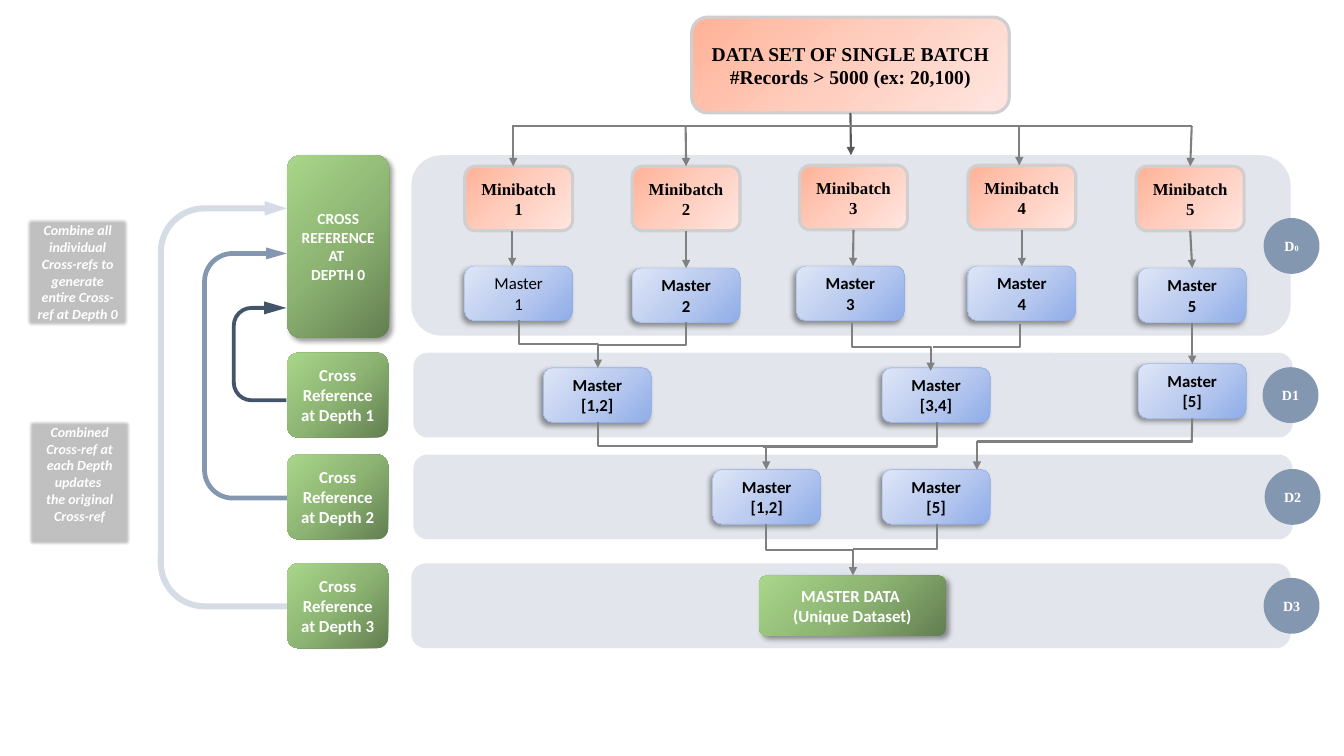
import lxml.etree
import pptx
import pptx.dml.color
import pptx.enum.dml
import pptx.enum.shapes
import pptx.enum.text
import pptx.oxml.ns
import pptx.util
from copy import deepcopy

Inches = pptx.util.Inches
SHAPE = pptx.enum.shapes.MSO_SHAPE
CONNECTOR = pptx.enum.shapes.MSO_CONNECTOR

COLORS = {"band": "D6DCE5", "badge": "8497B0", "navy": "44546A", "line": "808080",
          "stem": "595959", "black": "000000", "white": "FFFFFF",
          "batch_edge": "D0CECE", "master_edge": "8FAADC"}
SERIF, SANS = "Times New Roman", "Calibri"

# Looks: gradient stops, angle, edge, shadow direction, corner, font
BATCH = dict(stops=("FFB297", "FFCEBF", "FFE6E0"), angle=45, edge=("batch_edge", 2.25),
             font=SERIF, ink="black")
MASTER = dict(stops=("8FADE9", "BCCCEF", "DEE6F7"), angle=225, edge=("master_edge", 0.25),
              shadow=135, font=SANS, ink="black")
GREEN = dict(stops=("637F51", "8DB473", "A8D689"), angle=225, corner=0.128,
             font=SANS, ink="white")
GREEN_RAISED = dict(GREEN, shadow=45)

# Content: one depth per row: band x, y, height; badge x, y, text
DEPTHS = [
    ((4.08, 1.54, 1.79), (12.54, 2.17), "D0"),
    ((4.10, 3.50, 0.84), (12.53, 3.65), "D1"),
    ((4.10, 4.51, 0.84), (12.55, 4.66), "D2"),
    ((4.08, 5.59, 0.84), (12.54, 5.74), "D3"),
]
DATA_SET = ["DATA SET OF SINGLE BATCH", "#Records > 5000 (ex: 20,100)"]
# minibatch x, y; master x, y; x of arrow into the minibatch, x of arrow into the master
COLUMNS = [
    (4.61, 1.65, 4.61, 2.64, 5.09, 5.08),
    (6.27, 1.65, 6.27, 2.66, 6.80, 6.80),
    (7.93, 1.64, 7.90, 2.64, None, 8.46),
    (9.60, 1.64, 9.60, 2.64, 10.11, 10.15),
    (11.27, 1.65, 11.29, 2.66, 11.82, 11.82),
]
MERGED = [("[1,2]", 5.39, 3.65), ("[3,4]", 8.75, 3.65), ("[5]", 11.29, 3.61),
          ("[1,2]", 7.07, 4.66), ("[5]", 8.75, 4.66)]
CROSS_REFERENCE = ["CROSS REFERENCE", "AT ", "DEPTH 0"]
MASTER_DATA = ["MASTER DATA ", "(Unique Dataset)"]
NOTES = [
    ((0.24, 2.15, 1.06, 1.11),
     ["Combine all individual Cross-refs to generate entire Cross-ref at Depth 0"]),
    ((0.26, 4.15, 1.06, 1.28),
     ["Combined Cross-ref at each Depth updates ", "the original Cross-ref"]),
]
FEEDBACK = [
    ((0.18, 3.38, 4.05, 1.28), (0.047, 0.056, 0.172, 0.361, 1), "band"),
    ((1.17, 3.29, 2.51, 0.84), (0.056, 0.07, 0.243, 0.361, 1), "badge"),
    ((2.07, 3.22, 1.00, 0.54), (0.071, 0.119, 0.408, 0.361, 1), "navy"),
]
# Elbows run down from the start, then across; those with an arrow turn down again
ELBOWS = [
    (5.15, 3.18, 5.93, 3.65, True), (6.80, 3.19, 5.93, 3.42, False),
    (8.45, 3.20, 9.23, 3.68, True), (10.12, 3.21, 9.25, 3.44, False),
    (5.93, 4.19, 7.60, 4.66, True), (9.29, 4.19, 7.57, 4.43, False),
    (7.60, 5.20, 8.46, 5.71, True), (9.29, 5.20, 8.46, 5.45, False),
]

prs = pptx.Presentation()
prs.slide_width, prs.slide_height = Inches(13.33), Inches(7.5)
slide = prs.slides.add_slide(prs.slide_layouts[6])


def rgb(name):
    return pptx.dml.color.RGBColor.from_string(COLORS.get(name, name))


def child(parent, tag, **attributes):
    return lxml.etree.SubElement(parent, pptx.oxml.ns.qn(tag), attributes)


def add_shape(kind, at, fill=None, alpha=None):
    shape = slide.shapes.add_shape(kind, *map(Inches, at))
    shape.shadow.inherit = False
    shape.line.fill.background()
    if fill:
        shape.fill.solid()
        shape.fill.fore_color.rgb = rgb(fill)
    if alpha:
        child(shape._element.xpath(".//a:srgbClr")[0], "a:alpha", val=str(alpha * 1000))
    return shape


def write(shape, lines, size, font, ink, bold=True, italic=False):
    frame = shape.text_frame
    frame.word_wrap = True
    frame.vertical_anchor = pptx.enum.text.MSO_ANCHOR.MIDDLE
    for number, line in enumerate(lines):
        paragraph = frame.add_paragraph() if number else frame.paragraphs[0]
        paragraph.alignment = pptx.enum.text.PP_ALIGN.CENTER
        for text in line if isinstance(line, tuple) else (line,):
            run = paragraph.add_run()
            run.text = text
            run.font.name, run.font.size = font, pptx.util.Pt(size)
            run.font.bold, run.font.italic = bold, italic
            run.font.color.rgb = rgb(ink)


def card(at, lines, look, size=12, bold=True):
    shape = add_shape(SHAPE.ROUNDED_RECTANGLE, at)
    if "corner" in look:
        shape.adjustments[0] = look["corner"]
    shape.fill.gradient()
    shape.fill.gradient_angle = 360 - look["angle"]
    stop_list = shape._element.xpath(".//a:gsLst")[0]
    stop_list.insert(1, deepcopy(stop_list[0]))
    for number, stop in enumerate(shape.fill.gradient_stops):
        stop.position = number / 2
        stop.color.rgb = rgb(look["stops"][number])
    if "edge" in look:
        shape.line.color.rgb = rgb(look["edge"][0])
        shape.line.width = pptx.util.Pt(look["edge"][1])
    if "shadow" in look:
        effects = shape._element.xpath(".//a:effectLst")[0]
        shadow = child(effects, "a:outerShdw", blurRad="50800", dist="38100",
                       dir=str(look["shadow"] * 60000), rotWithShape="0")
        child(child(shadow, "a:srgbClr", val=COLORS["black"]), "a:alpha", val="40000")
    write(shape, lines, size, look["font"], look["ink"], bold)
    return shape


def dress(connector, color="line", arrow=True):
    connector.line.color.rgb = rgb(color)
    connector.line.width = pptx.util.Pt(1.5)
    if arrow:
        child(connector._element.xpath(".//a:ln")[0], "a:tailEnd", type="triangle")
    child(connector._element.spPr, "a:effectLst")


def straight(x1, y1, x2, y2, start=None, finish=None, **style):
    line = slide.shapes.add_connector(CONNECTOR.STRAIGHT, *map(Inches, (x1, y1, x2, y2)))

    def is_middle(box, x):
        return box and abs(box.left + box.width / 2 - Inches(x)) < Inches(0.02)
    if is_middle(start, x1):
        line.begin_connect(start, 2)
    if is_middle(finish, x2):
        line.end_connect(finish, 0)
    dress(line, **style)


def elbow(x1, y1, x2, y2, arrow):
    # Laid out on its side around the same centre, then turned upright
    middle_x, middle_y = (x1 + x2) / 2, (y1 + y2) / 2
    half_w, half_h = (y2 - y1) / 2, abs(x2 - x1) / 2
    side = 1 if x2 > x1 else -1
    line = slide.shapes.add_connector(CONNECTOR.ELBOW, *map(Inches, (
        middle_x + side * half_w, middle_y - half_h,
        middle_x - side * half_w, middle_y + half_h)))
    line._element.xpath(".//a:xfrm")[0].set("rot", str((270 if side > 0 else 90) * 60000))
    if not arrow:
        line._element.xpath(".//a:prstGeom")[0].set("prst", "bentConnector2")
    dress(line, arrow=arrow)


# Depth bands
bands = [add_shape(SHAPE.ROUNDED_RECTANGLE, (x, y, 8.72, height), "band", 70)
         for (x, y, height), _, _ in DEPTHS]

# Data set, minibatches and masters
data_set = card((6.86, 0.17, 3.15, 0.95), DATA_SET, BATCH, 14)
straight(8.44, 1.12, 8.44, 1.54, data_set, bands[0], color="stem")
straight(5.08, 1.25, 11.82, 1.25, arrow=False)
for number, (batch_x, batch_y, master_x, master_y, drop_x, arrow_x) in enumerate(COLUMNS, 1):
    minibatch = card((batch_x, batch_y, 1.07, 0.64), ["Minibatch", str(number)], BATCH)
    master = card((master_x, master_y, 1.07, 0.54), ["Master", str(number)], MASTER,
                  bold=number > 1)
    if drop_x:
        straight(drop_x, 1.25, drop_x, batch_y, finish=minibatch)
    straight(arrow_x, batch_y + 0.64, arrow_x, master_y, minibatch, master)
merged = [card((x, y, 1.07, 0.54), ["Master", members], MASTER) for members, x, y in MERGED]
card((7.53, 5.71, 1.85, 0.6), MASTER_DATA, GREEN_RAISED)

# Cross references
card((2.85, 1.54, 1.01, 1.81), CROSS_REFERENCE, GREEN_RAISED, 11)
for depth, ((_, y, height), _, _) in enumerate(DEPTHS[1:], 1):
    card((2.85, y, 1, height), ["Cross Reference", f"at Depth {depth}"], GREEN)

# Feedback arrows
for at, bends, color in FEEDBACK:
    feedback = add_shape(SHAPE.U_TURN_ARROW, at, color)
    feedback.rotation = 270
    for number, bend in enumerate(bends):
        feedback.adjustments[number] = bend

# Depth badges
for _, (x, y), label in DEPTHS:
    badge = add_shape(SHAPE.OVAL, (x, y, 0.54, 0.54), "badge")
    badge.line.color.rgb = rgb("badge")
    badge.line.width = pptx.util.Pt(1)
    write(badge, [tuple(label) if label == "D0" else label], 10, SERIF, "white")
    badge.text_frame.word_wrap = False
    if label == "D0":
        badge.text_frame.paragraphs[0].runs[1].font._element.set("baseline", "-2000")

# Merging lines
for bend in ELBOWS:
    elbow(*bend)
straight(11.82, 3.19, 11.82, 3.61, master, merged[2])
straight(11.82, 4.15, 11.82, 4.39, merged[2], arrow=False)
straight(9.69, 4.38, 11.82, 4.38, arrow=False)
straight(9.69, 4.38, 9.69, 4.66)

# Side notes
for at, lines in NOTES:
    note = add_shape(SHAPE.RECTANGLE, at, "black", 25)
    child(note._element.xpath(".//a:effectLst")[0], "a:softEdge", rad="31750")
    write(note, lines, 10, SANS, "white", italic=True)
    note.text_frame.vertical_anchor = pptx.enum.text.MSO_ANCHOR.TOP

prs.save("out.pptx")
